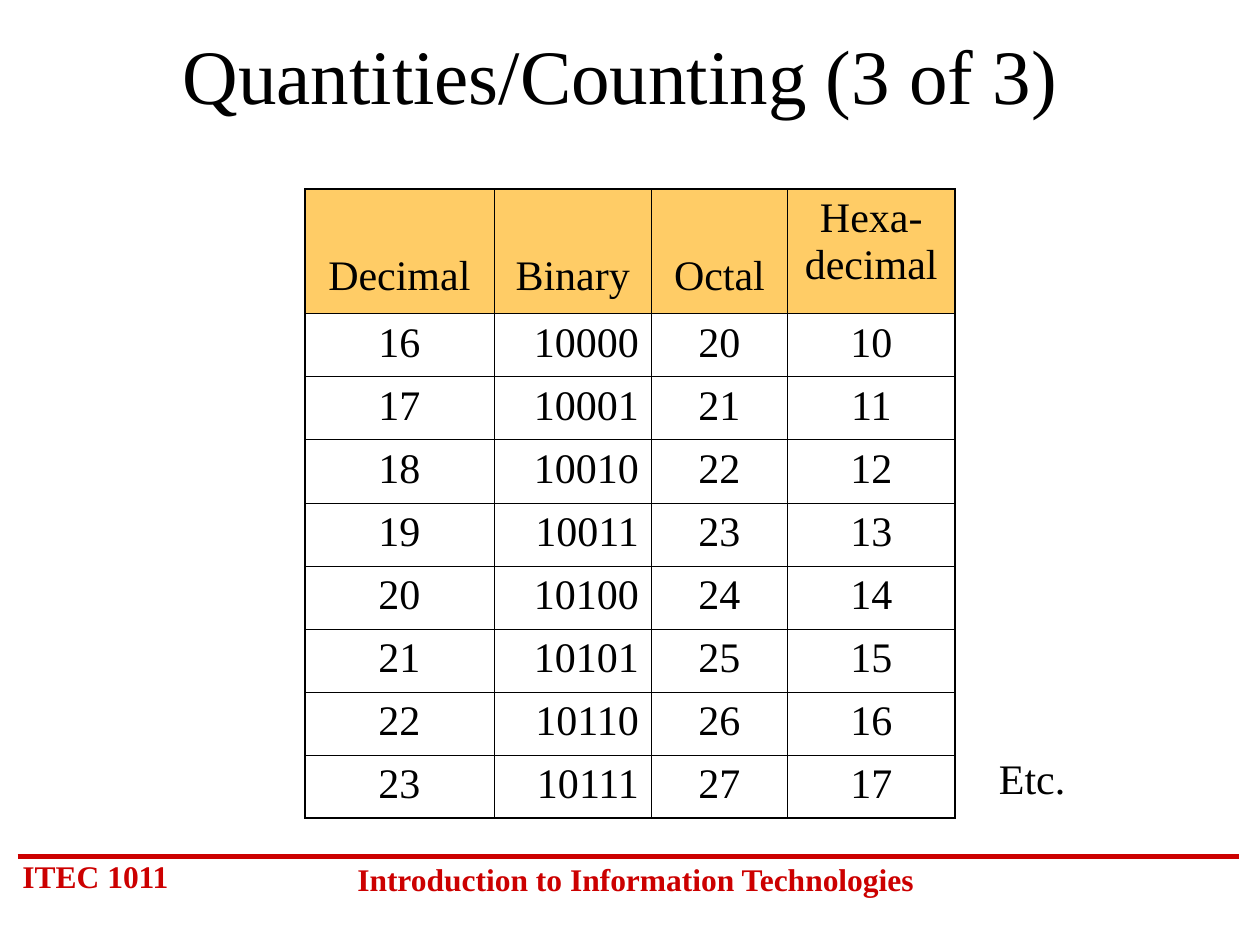
"""Build the slide that counts from 16 to 23 in four number bases."""
import pptx
import pptx.chart.data
import pptx.dml.color
import pptx.enum.shapes
import pptx.enum.text
import pptx.oxml
import pptx.oxml.ns
import pptx.util
from dataclasses import dataclass

Inches = pptx.util.Inches
Pt = pptx.util.Pt
Align = pptx.enum.text.PP_ALIGN
Anchor = pptx.enum.text.MSO_ANCHOR
Fit = pptx.enum.text.MSO_AUTO_SIZE

TITLE = "Quantities/Counting (3 of 3) "
HEADS = ["Decimal", "Binary", "Octal", "Hexa-\ndecimal"]
ROWS = [[f"{n:{base}}" for base in "dbox"] for n in range(16, 24)]
WIDTHS = [1.5, 1.25, 1.08, 1.33]
ALIGNS = [Align.CENTER, Align.RIGHT, Align.CENTER, Align.CENTER]
ETC = "Etc."
COURSE = "ITEC 1011"
TOPIC = "Introduction to Information Technologies"


@dataclass
class Theme:
    """Hold the colours, font and sizes."""
    font: str = "Times New Roman"
    ink: str = "000000"
    red: str = "CC0000"
    gold: str = "FFCC66"
    title: int = 44
    body: int = 24
    foot: int = 18
    thin: float = 0.45
    thick: float = 1.08
    rule: float = 3


LOOK = Theme()


def color(code):
    """Turn a hex code into a colour."""
    return pptx.dml.color.RGBColor.from_string(code)


def write(frame, text, size, align=Align.LEFT, ink=LOOK.ink, bold=False):
    """Write one paragraph, with a line break at each newline."""
    para = frame.paragraphs[0]
    para.alignment = align
    for i, line in enumerate(text.split("\n")):
        if i:
            para.add_line_break()
        run = para.add_run()
        run.text = line
        run.font.name = LOOK.font
        run.font.size = Pt(size)
        run.font.bold = bold
        run.font.color.rgb = color(ink)


def label(slide, place, text, size, wrap=True, **style):
    """Add a text box."""
    frame = slide.shapes.add_textbox(*map(Inches, place)).text_frame
    frame.word_wrap = wrap
    frame.auto_size = Fit.SHAPE_TO_FIT_TEXT
    write(frame, text, size, **style)


def border(cell, sides):
    """Draw the cell borders from a dict of side to width."""
    props = cell._tc.get_or_add_tcPr()
    space = pptx.oxml.ns.nsdecls("a")
    for side, width in sides.items():
        props.append(pptx.oxml.parse_xml(
            f'<a:ln{side} {space} w="{Pt(width)}"><a:solidFill>'
            f'<a:srgbClr val="{LOOK.ink}"/></a:solidFill></a:ln{side}>'))


def add_title(slide):
    """Place and fill the title."""
    shape = slide.shapes.title
    shape.left, shape.top, shape.width, shape.height = map(
        Inches, (0.75, 0.17, 8.5, 0.83))
    frame = shape.text_frame
    frame.auto_size = Fit.NONE
    frame.vertical_anchor = Anchor.MIDDLE
    write(frame, TITLE, LOOK.title, Align.CENTER)


def add_grid(slide):
    """Add the table of number bases."""
    cells = [HEADS] + ROWS
    tall = [0.99] + [0.5] * len(ROWS)
    place = map(Inches, (2.42, 1.5, sum(WIDTHS), sum(tall)))
    table = slide.shapes.add_table(len(cells), len(HEADS), *place).table
    table.first_row = table.horz_banding = False
    for col, width in zip(table.columns, WIDTHS):
        col.width = Inches(width)
    for row, height in zip(table.rows, tall):
        row.height = Inches(height)
    for r, line in enumerate(cells):
        for c, text in enumerate(line):
            cell = table.cell(r, c)
            edges = {"L": c == 0, "R": c == len(HEADS) - 1,
                     "T": r == 0, "B": r == len(ROWS)}
            border(cell, {side: LOOK.thick if edge else LOOK.thin
                          for side, edge in edges.items()})
            head = r == 0
            if head:
                cell.fill.solid()
                cell.fill.fore_color.rgb = color(LOOK.gold)
            else:
                cell.fill.background()
            low = head and "\n" not in text
            cell.vertical_anchor = Anchor.BOTTOM if low else Anchor.TOP
            cell.margin_bottom = Inches(0.11 if low else 0.05)
            write(cell.text_frame, text, LOOK.body,
                  Align.CENTER if head else ALIGNS[c])


def add_foot(slide):
    """Add the red rule and the footer labels."""
    ends = map(Inches, (0.14, 6.8, 9.83, 6.8))
    kind = pptx.enum.shapes.MSO_CONNECTOR.STRAIGHT
    rule = slide.shapes.add_connector(kind, *ends)
    rule.line.color.rgb = color(LOOK.red)
    rule.line.width = Pt(LOOK.rule)
    rule._element.spPr.append(pptx.oxml.parse_xml(
        f'<a:effectLst {pptx.oxml.ns.nsdecls("a")}/>'))
    style = dict(size=LOOK.foot, ink=LOOK.red, bold=True)
    label(slide, (0.08, 6.75, 1.5, 0.4), COURSE, **style)
    label(slide, (2.67, 6.78, 4.75, 0.4), TOPIC, align=Align.CENTER, **style)


def main():
    """Build and save the slide."""
    deck = pptx.Presentation()
    deck.slide_width, deck.slide_height = Inches(10), Inches(7.5)
    slide = deck.slides.add_slide(deck.slide_layouts[5])
    add_foot(slide)
    add_title(slide)
    add_grid(slide)
    label(slide, (7.83, 5.92, 0.73, 0.5), ETC, LOOK.body, wrap=False)
    deck.save("out.pptx")


if __name__ == "__main__":
    main()
